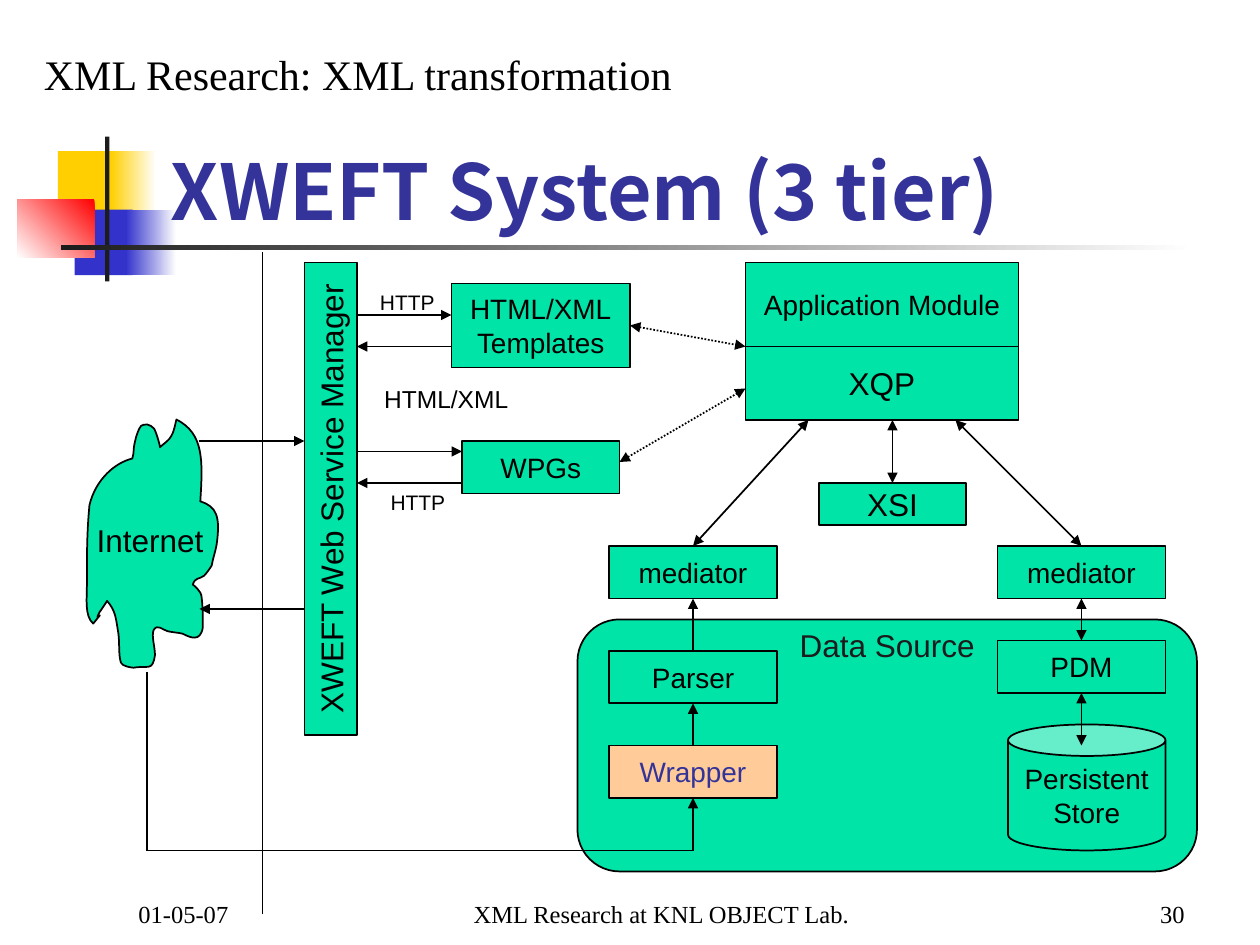
"""Draw a three-tier web system diagram on a grid of 120 columns by 90 rows."""
from dataclasses import dataclass
from typing import Optional

from lxml.etree import SubElement
from pptx import Presentation
from pptx.dml.color import RGBColor
from pptx.enum.dml import MSO_LINE
from pptx.enum.shapes import MSO_CONNECTOR, MSO_SHAPE
from pptx.enum.text import MSO_ANCHOR, PP_ALIGN
from pptx.oxml.ns import qn
from pptx.util import Inches, Pt

GREEN = RGBColor(0x00, 0xE4, 0xA8)
PEACH = RGBColor(0xFF, 0xCC, 0x99)
BLACK = RGBColor(0x00, 0x00, 0x00)
WHITE = RGBColor(0xFF, 0xFF, 0xFF)
GOLD = RGBColor(0xFF, 0xCF, 0x01)
BLUE = RGBColor(0x33, 0x33, 0xCC)
RED = RGBColor(0xFF, 0x00, 0x00)
DARK = RGBColor(0x1C, 0x1C, 0x1C)
NAVY = RGBColor(0x33, 0x33, 0x99)

WIDE, HIGH = Inches(10), Inches(7.5)
CELL = WIDE / 120
SANS, SERIF, HEAD = "Arial", "Times New Roman", "Noto Sans CJK KR"
LEFT, MID, RIGHT = PP_ALIGN.LEFT, PP_ALIGN.CENTER, PP_ALIGN.RIGHT
TOP, CORE, BASE = MSO_ANCHOR.TOP, MSO_ANCHOR.MIDDLE, MSO_ANCHOR.BOTTOM


@dataclass
class Area:
    """Left column, top row, columns wide and rows high."""
    col: float
    row: float
    cols: float
    rows: float

    def place(self) -> list[int]:
        """Return the area in slide units."""
        return [round(n * CELL) for n in (self.col, self.row, self.cols, self.rows)]


@dataclass
class Patch:
    """Part of the corner design, with a fade when it has two colours."""
    area: Area
    hue: RGBColor
    fade: Optional[RGBColor] = None
    angle: int = 180


@dataclass
class Box:
    """Filled shape with a black outline and an optional label."""
    area: Area
    text: str = ""
    size: int = 16
    fill: RGBColor = GREEN
    ink: RGBColor = BLACK
    kind: MSO_SHAPE = MSO_SHAPE.RECTANGLE
    turn: int = 0


@dataclass
class Note:
    """Free text."""
    area: Area
    text: str
    size: int
    font: str = SANS
    ink: RGBColor = BLACK
    align: PP_ALIGN = MID
    anchor: MSO_ANCHOR = CORE
    wrap: bool = False
    bold: bool = False


@dataclass
class Link:
    """Line between two grid points, with the ends that carry arrows."""
    start: tuple[float, float]
    end: tuple[float, float]
    heads: tuple[str, ...] = ("tailEnd",)
    dots: bool = False


BOTH = ("headEnd", "tailEnd")

PATCHES = [
    Patch(Area(5.52, 14.4, 5.76, 6.24), GOLD),
    Patch(Area(10.56, 14.4, 4.32, 6.24), WHITE, GOLD),
    Patch(Area(7.12, 19.97, 5.52, 6.24), BLUE),
    Patch(Area(12, 19.97, 4.8, 6.24), WHITE, BLUE),
    Patch(Area(1.68, 18.96, 7.32, 5.6), RED, WHITE, 225),
    Patch(Area(10, 13, 0.42, 13.8), DARK),
    Patch(Area(5.8, 23.37, 108, 0.42), WHITE, DARK),
]

BOXES = [
    Box(Area(55, 59, 59, 24), kind=MSO_SHAPE.ROUNDED_RECTANGLE),
    Box(Area(71, 25, 26, 8), "Application Module"),
    Box(Area(71, 33, 26, 7), "XQP", 18),
    Box(Area(78, 46, 14, 4), "XSI", 18),
    Box(Area(58, 52, 16, 5), "mediator"),
    Box(Area(95, 52, 16, 5), "mediator"),
    Box(Area(58, 62, 16, 5), "Parser"),
    Box(Area(58, 71, 16, 5), "Wrapper", fill=PEACH, ink=NAVY),
    Box(Area(95, 61, 16, 5), "PDM"),
    Box(Area(96, 69, 15, 12), "Persistent\nStore", kind=MSO_SHAPE.CAN),
    Box(Area(43, 27, 17, 8), "HTML/XML\nTemplates"),
    Box(Area(44, 42, 15, 5), "WPGs"),
    Box(Area(9, 45, 45, 5), "XWEFT Web Service Manager", 18, turn=270),
]

LINKS = [
    Link((85, 40), (85, 46), BOTH),
    Link((77, 40), (66, 52), BOTH),
    Link((91, 40), (103, 52), BOTH),
    Link((66, 62), (66, 57)),
    Link((103, 61), (103, 57), BOTH),
    Link((103, 71), (103, 66), BOTH),
    Link((66, 71), (66, 67)),
    Link((25, 24), (25, 87), ()),
    Link((60, 31), (71, 33), BOTH, True),
    Link((59, 44), (71, 37), BOTH, True),
    Link((19, 42), (29, 42)),
    Link((29, 58), (19, 58)),
    Link((34, 30), (43, 30)),
    Link((43, 33), (34, 33)),
    Link((34, 43), (44, 43)),
    Link((44, 46), (34, 46)),
    Link((14, 64), (14, 81), ()),
    Link((14, 81), (66, 81), ()),
    Link((66, 81), (66, 76)),
]

NOTES = [
    Note(Area(74, 59, 21, 4.8), "Data Source", 18, ink=DARK),
    Note(Area(8, 49, 12.6, 4.8), "Internet", 18),
    Note(Area(35, 27, 7.6, 3.6), "HTTP", 12),
    Note(Area(36, 46, 7.6, 3.6), "HTTP", 12),
    Note(Area(35, 36, 15, 4), "HTML/XML", 14),
    Note(Area(3, 4, 62.5, 6), "XML Research: XML transformation", 24, SERIF, align=LEFT, anchor=TOP),
    Note(Area(15.1, 8.05, 102.2, 15), "XWEFT System (3 tier)", 44, HEAD, NAVY, LEFT, BASE, True, True),
    Note(Area(39, 83, 48, 6), "XML Research at KNL OBJECT Lab.", 14, SERIF, anchor=BASE, wrap=True),
    Note(Area(89, 83, 25, 6), "30", 14, SERIF, align=RIGHT, anchor=BASE, wrap=True),
    Note(Area(12, 83, 25, 6), "01-05-07", 14, SERIF, align=LEFT, anchor=BASE, wrap=True),
]

CLOUD_START = (105, 364)
CLOUD = [
    (92, 367, 76, 380, 71, 401), (69, 423, 69, 437, 69, 464), (69, 475, 67, 489, 74, 495),
    (86, 480, 73, 497, 79, 486), (81, 483, 85, 477, 85, 477), (92, 485, 92, 491, 94, 503),
    (95, 511, 94, 520, 96, 526), (97, 529, 105, 530, 106, 530), (118, 528, 121, 533, 123, 520),
    (123, 513, 120, 505, 122, 500), (125, 495, 129, 500, 133, 501), (137, 502, 141, 502, 145, 503),
    (151, 506, 159, 510, 161, 498), (161, 490, 161, 482, 160, 474), (160, 469, 153, 464, 153, 464),
    (155, 458, 158, 460, 162, 457), (164, 455, 166, 452, 168, 449), (169, 443, 171, 438, 172, 432),
    (175, 410, 172, 402, 159, 398), (161, 366, 162, 344, 140, 333), (139, 337, 138, 343, 136, 346),
    (134, 350, 130, 352, 127, 355), (127, 353, 123, 340, 122, 340), (121, 338, 119, 338, 117, 337),
    (115, 337, 113, 337, 112, 338), (110, 340, 108, 347, 108, 347), (107, 351, 106, 355, 106, 359),
    (106, 360, 105, 364, 105, 364),
]


def write(frame, text: str, size: int, font: str, ink: RGBColor, align, anchor, wrap=False, bold=False) -> None:
    """Set the text of a frame and format its runs."""
    frame.text = text
    frame.word_wrap = wrap
    frame.vertical_anchor = anchor
    for para in frame.paragraphs:
        para.alignment = align
        for run in para.runs:
            run.font.size, run.font.name, run.font.bold = Pt(size), font, bold
            run.font.color.rgb = ink


def paint(shape, fill: RGBColor) -> None:
    """Give a shape a flat fill and a black outline."""
    shape.shadow.inherit = False
    shape.fill.solid()
    shape.fill.fore_color.rgb = fill
    shape.line.color.rgb = BLACK
    shape.line.width = Pt(1)


def draw_patch(shapes, patch: Patch) -> None:
    """Draw one part of the corner design."""
    shape = shapes.add_shape(MSO_SHAPE.RECTANGLE, *patch.area.place())
    paint(shape, patch.hue)
    shape.line.fill.background()
    if patch.fade is not None:
        shape.fill.gradient()
        shape.fill.gradient_angle = patch.angle
        for stop, hue in zip(shape.fill.gradient_stops, (patch.hue, patch.fade)):
            stop.color.rgb = hue


def draw_box(shapes, box: Box) -> None:
    """Draw one labelled shape."""
    shape = shapes.add_shape(box.kind, *box.area.place())
    paint(shape, box.fill)
    shape.rotation = box.turn
    if box.text:
        write(shape.text_frame, box.text, box.size, SANS, box.ink, MID, CORE)


def draw_cloud(shapes) -> None:
    """Draw the cloud, joining each three points into one Bezier curve."""
    points = [curve[n:n + 2] for curve in CLOUD for n in (0, 2, 4)]
    form = shapes.build_freeform(*CLOUD_START, scale=Inches(1) / 100)
    form.add_line_segments(points, close=True)
    shape = form.convert_to_shape()
    paint(shape, GREEN)
    trace = shape.element.find(".//" + qn("a:path"))
    parts = trace.findall(qn("a:lnTo"))
    for lead, *rest in zip(parts[::3], parts[1::3], parts[2::3]):
        lead.tag = qn("a:cubicBezTo")
        for part in rest:
            lead.append(part[0])
            trace.remove(part)


def draw_link(shapes, link: Link) -> None:
    """Draw one line with its arrowheads."""
    ends = [round(n * CELL) for n in link.start + link.end]
    line = shapes.add_connector(MSO_CONNECTOR.STRAIGHT, *ends)
    line.line.color.rgb = BLACK
    line.line.width = Pt(1)
    if link.dots:
        line.line.dash_style = MSO_LINE.ROUND_DOT
    props = line.element.spPr
    for head in link.heads:
        SubElement(props.find(qn("a:ln")), qn(f"a:{head}"), type="triangle")
    SubElement(props, qn("a:effectLst"))


def draw_note(shapes, note: Note) -> None:
    """Draw one piece of free text."""
    frame = shapes.add_textbox(*note.area.place()).text_frame
    write(frame, note.text, note.size, note.font, note.ink, note.align, note.anchor, note.wrap, note.bold)


def main() -> None:
    """Build the slide and save it."""
    deck = Presentation()
    deck.slide_width, deck.slide_height = WIDE, HIGH
    shapes = deck.slides.add_slide(deck.slide_layouts[6]).shapes
    for items, draw in ((PATCHES, draw_patch), (BOXES, draw_box)):
        for item in items:
            draw(shapes, item)
    draw_cloud(shapes)
    for items, draw in ((LINKS, draw_link), (NOTES, draw_note)):
        for item in items:
            draw(shapes, item)
    deck.save("out.pptx")


if __name__ == "__main__":
    main()
